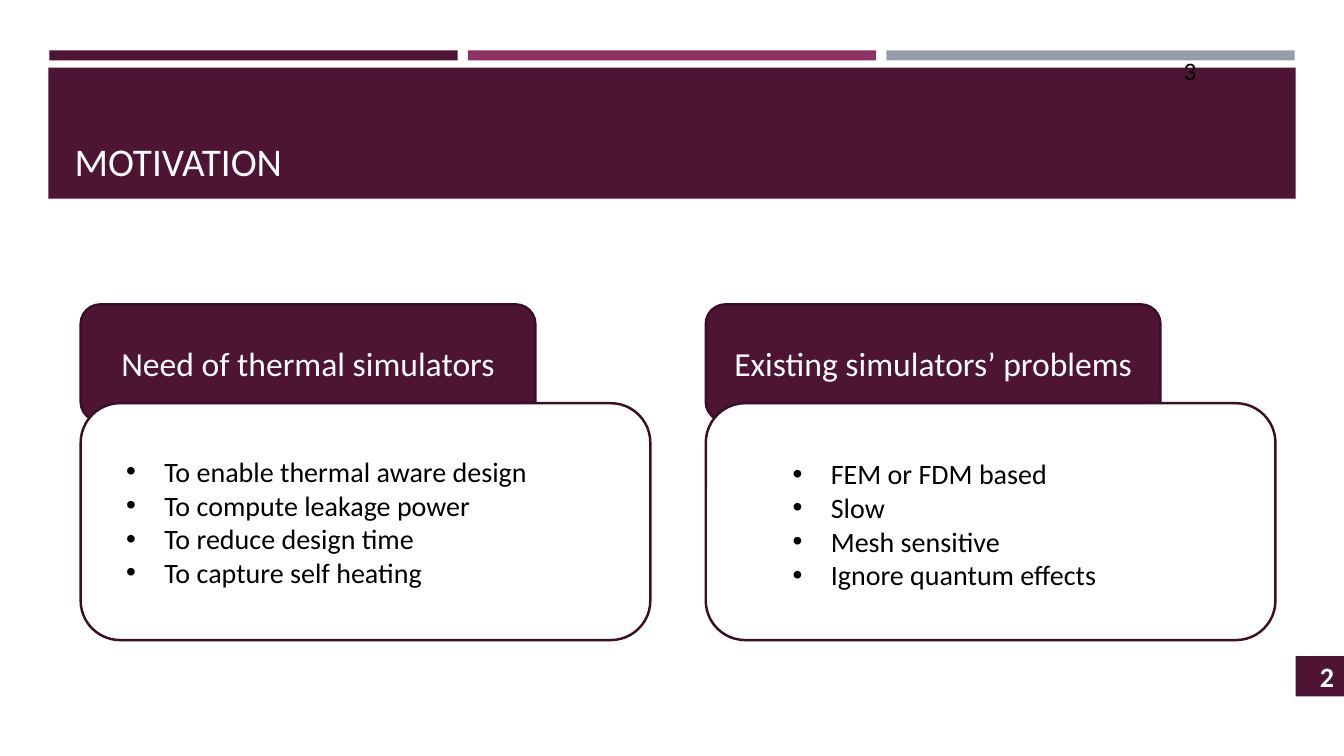
from pptx import Presentation
from pptx.dml.color import RGBColor
from pptx.enum.shapes import MSO_SHAPE
from pptx.enum.text import MSO_ANCHOR, MSO_AUTO_SIZE, PP_ALIGN
from pptx.oxml.ns import qn
from pptx.util import Pt
from lxml import etree

RECT, ROUNDED = MSO_SHAPE.RECTANGLE, MSO_SHAPE.ROUNDED_RECTANGLE
TOP, MIDDLE, BOTTOM = MSO_ANCHOR.TOP, MSO_ANCHOR.MIDDLE, MSO_ANCHOR.BOTTOM
LEFT, CENTER, RIGHT = PP_ALIGN.LEFT, PP_ALIGN.CENTER, PP_ALIGN.RIGHT
NO_AUTOFIT = MSO_AUTO_SIZE.NONE

EMU_PER_PX = 9144  # 100 px to the inch
FONT = "Calibri"
HANGING = 38
COLORS = {
    "plum": "4D1434",
    "magenta": "903163",
    "grey": "969FA7",
    "outline": "390F26",
    "white": "FFFFFF",
    "ink": "010000",
    "black": "000000",
}
PANELS = [
    {
        "heading": "Need of thermal simulators",
        "points": [
            "To enable thermal aware design",
            "To compute leakage power",
            "To reduce design time",
            "To capture self heating",
        ],
        "indent": 62,
        "margins": (21, 5, 10, 5),
    },
    {
        "heading": "Existing simulators’ problems",
        "points": ["FEM or FDM based", "Slow", "Mesh sensitive", "Ignore quantum effects"],
        "indent": 112,
        "margins": (12, 5, 0, 0),
    },
]


def px(length):
    return length * EMU_PER_PX


def color(name):
    return RGBColor.from_string(COLORS[name])


def set_format(target, values):
    for name, value in values.items():
        setattr(target, name, value)


def place(shape, box):
    set_format(shape, dict(zip(("left", "top", "width", "height"), map(px, box))))


def style_font(paragraph, size, ink, bold=False):
    set_format(paragraph.font, {"name": FONT, "size": Pt(size), "bold": bold})
    paragraph.font.color.rgb = color(ink)


def write_line(shape, text, size, ink, align=LEFT, anchor=MIDDLE, bold=False):
    frame = shape.text_frame
    set_format(frame, {"text": text, "word_wrap": True,
                       "auto_size": NO_AUTOFIT, "vertical_anchor": anchor})
    paragraph = frame.paragraphs[0]
    paragraph.alignment = align
    style_font(paragraph, size, ink, bold)


def add_block(slide, box, fill, preset=RECT, outline=None):
    block = slide.shapes.add_shape(preset, *map(px, box))
    block.shadow.inherit = False
    block.fill.solid()
    block.fill.fore_color.rgb = color(fill)
    if outline:
        block.line.color.rgb = color(outline)
        block.line.width = Pt(1.75)
    else:
        block.line.fill.background()
    return block


def add_label(slide, box, text, size, ink, **style):
    write_line(slide.shapes.add_textbox(*map(px, box)), text, size, ink, **style)


def bring_to_front(slide, shape):
    slide.shapes.element.append(shape.element)


def add_bullet(paragraph, indent):
    properties = paragraph._p.get_or_add_pPr()
    properties.set("marL", str(px(indent)))
    properties.set("indent", str(px(-HANGING)))
    etree.SubElement(properties, qn("a:buFont"), typeface="Arial")
    etree.SubElement(properties, qn("a:buChar"), char="•")


def fill_list(body, box, points, indent, margins):
    place(body, box)
    frame = body.text_frame
    sides = ("margin_left", "margin_top", "margin_right", "margin_bottom")
    set_format(frame, {"text": "\n".join(points), "word_wrap": True,
                       "auto_size": NO_AUTOFIT, "vertical_anchor": MIDDLE,
                       **dict(zip(sides, map(px, margins)))})
    for paragraph in frame.paragraphs:
        add_bullet(paragraph, indent)
        set_format(paragraph, {"alignment": LEFT, "space_before": Pt(0)})
        style_font(paragraph, 20, "ink")


def add_panel(slide, left, body, panel):
    """Draw a heading tab with an outlined card over it, and the list on the card."""
    tab = add_block(slide, (left, 302, 451, 116), "plum", ROUNDED, "outline")
    write_line(tab, panel["heading"], 24, "white", align=CENTER)
    card_box = (left, 400, 565, 235)
    add_block(slide, card_box, "white", ROUNDED, "outline")
    fill_list(body, card_box, panel["points"], panel["indent"], panel["margins"])
    bring_to_front(slide, body)


def add_title(slide, text):
    add_block(slide, (48, 67, 1237, 130), "plum")
    title = slide.shapes.title
    place(title, (64, 77, 1206, 111))
    write_line(title, text, 28, "white", anchor=BOTTOM)
    bring_to_front(slide, title)


def main():
    deck = Presentation()
    set_format(deck, {"slide_width": px(1333), "slide_height": px(750)})
    slide = deck.slides.add_slide(deck.slide_layouts.get_by_name("Two Content"))

    for column, fill in enumerate(("plum", "magenta", "grey")):
        add_block(slide, (49 + 415 * column, 50, 405, 10), fill)
    add_title(slide, "MOTIVATION")

    for column, panel in enumerate(PANELS):
        add_panel(slide, 80 + 620 * column, slide.placeholders[column + 1], panel)

    add_label(slide, (1164, 50, 30, 40), "3", 18, "black", anchor=TOP)
    add_block(slide, (1285, 651, 48, 40), "plum")
    add_label(slide, (1218, 651, 115, 40), "2", 20, "white", align=RIGHT, bold=True)
    deck.save("out.pptx")


if __name__ == "__main__":
    main()
